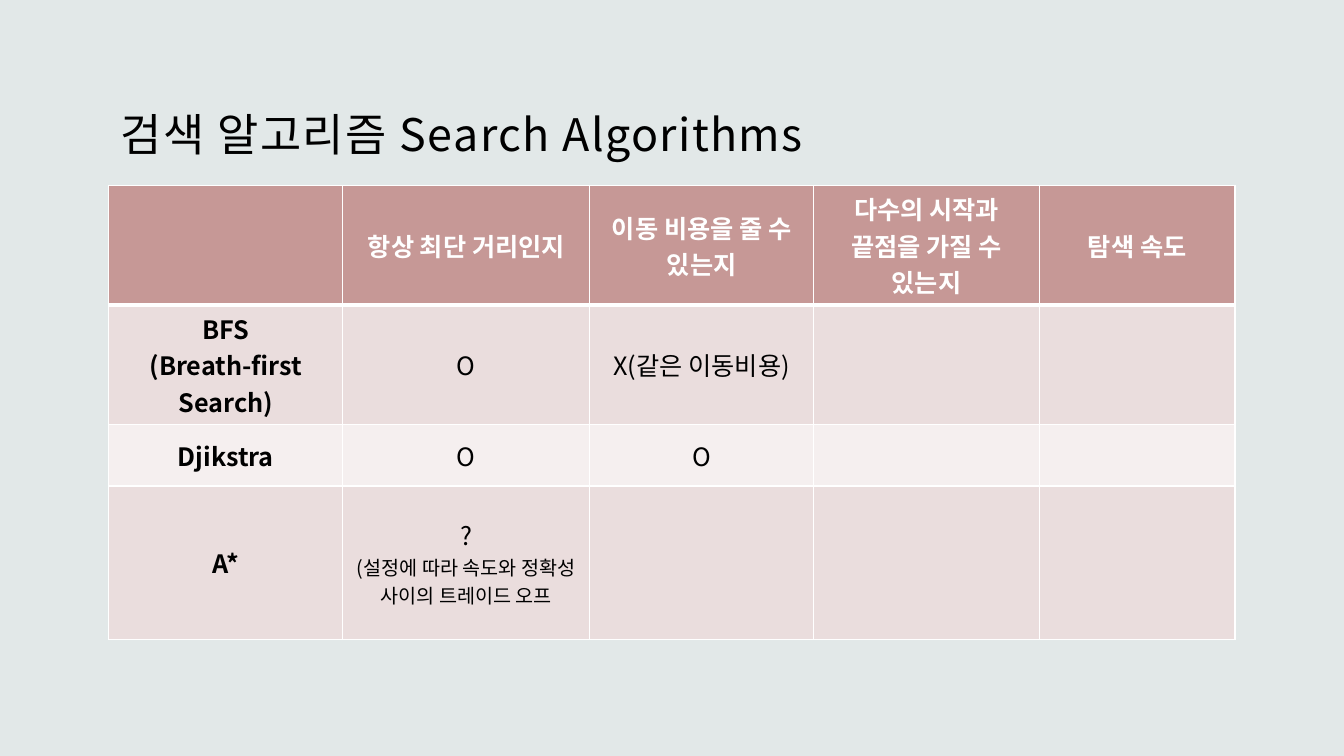
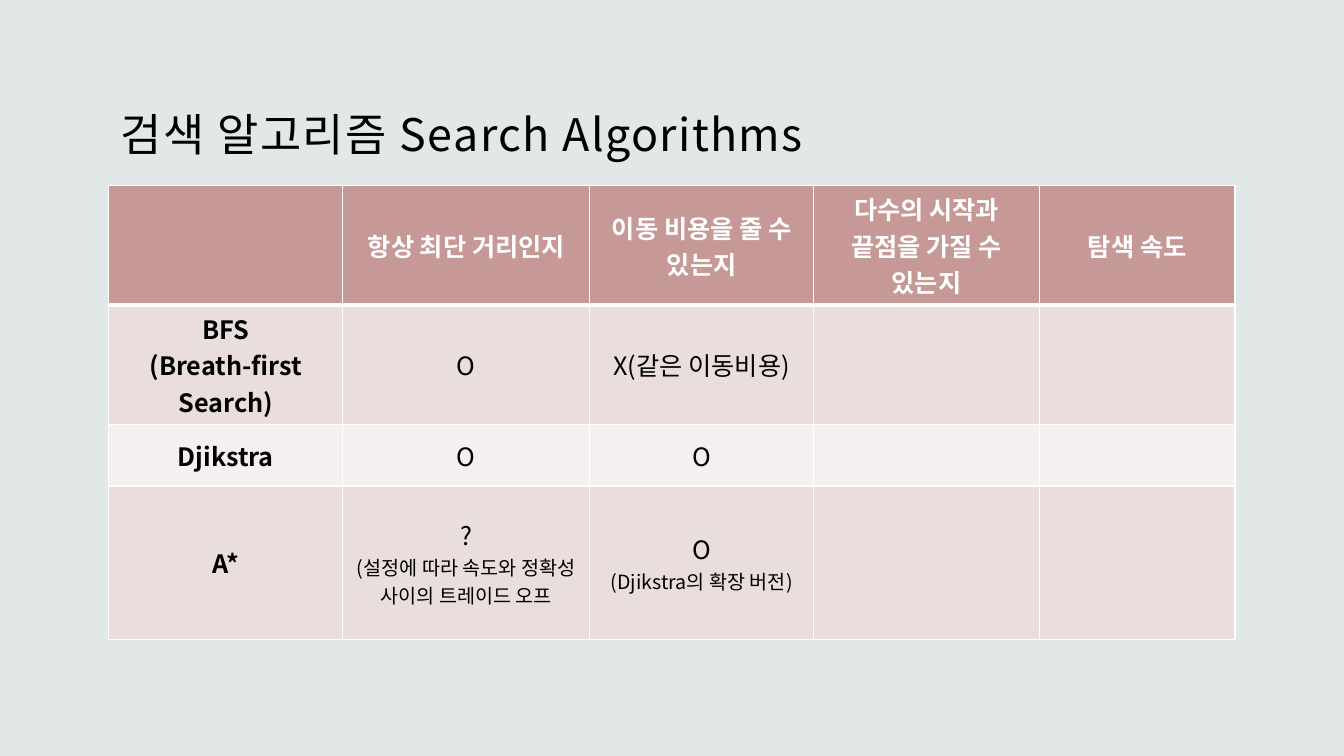
from typing import NamedTuple

from lxml.etree import SubElement
from pptx import Presentation
from pptx.dml.color import RGBColor
from pptx.dml.fill import FillFormat
from pptx.enum.text import MSO_ANCHOR, MSO_AUTO_SIZE, PP_ALIGN
from pptx.oxml import parse_xml
from pptx.oxml.ns import nsdecls, qn
from pptx.slide import Slide
from pptx.table import _Cell
from pptx.text.text import _Paragraph
from pptx.util import Inches, Pt

FONT = "Noto Sans CJK KR"
BACK, HEAD, BAND, PALE = "E2E8E8", "C69896", "EADDDD", "F5EFEF"
WHITE, BLACK = "FFFFFF", "000000"
LEFT, WIDTH = 1.08, 11.17
COLS = (2.32, 2.45, 2.22, 2.24, 1.94)
ROWS = (0.76, 1.07, 0.61, 1.52)
TITLE = "검색 알고리즘 Search Algorithms"


class Line(NamedTuple):
    """One paragraph of a table cell."""

    text: str
    size: int = 18


Grid = dict[tuple[int, int], list[Line]]

FIRST: Grid = {
    (0, 1): [Line("항상 최단 거리인지")],
    (0, 2): [Line("이동 비용을 줄 수 있는지")],
    (0, 3): [Line("다수의 시작과 끝점을 가질 수 있는지")],
    (0, 4): [Line("탐색 속도")],
    (1, 0): [Line("BFS"), Line("(Breath-first Search)")],
    (1, 1): [Line("O")],
    (1, 2): [Line("X(같은 이동비용)")],
    (2, 0): [Line("Djikstra")],
    (2, 1): [Line("O")],
    (2, 2): [Line("O")],
    (3, 0): [Line("A*")],
    (3, 1): [Line("?"), Line("(설정에 따라 속도와 정확성 사이의 트레이드 오프", 14)],
}
SECOND: Grid = FIRST | {(3, 2): [Line("O"), Line("(Djikstra의 확장 버전)", 14)]}


def paint(fill: FillFormat, color: str) -> None:
    """Fill with one solid colour."""
    fill.solid()
    fill.fore_color.rgb = RGBColor.from_string(color)


def write(para: _Paragraph, text: str, size: int, color: str,
          bold: bool = False, space: int = 0) -> None:
    """Add one run, with letter spacing in points."""
    run = para.add_run()
    run.text = text
    font = run.font
    font.name, font.size, font.bold = FONT, Pt(size), bold
    paint(font.fill, color)
    props = run._r.get_or_add_rPr()
    SubElement(props, qn("a:ea"), typeface=FONT)
    if space:
        props.set("spc", str(space * 100))


def edge(cell: _Cell, row: int) -> None:
    """Draw the white cell borders, heavier below the header."""
    sides = {"L": 1, "R": 1, "T": 1, "B": 1}
    if row == 0:
        sides["B"] = 3
    else:
        del sides["T"]
    props = cell._tc.get_or_add_tcPr()
    for spot, (side, width) in enumerate(sides.items()):
        props.insert(spot, parse_xml(
            f'<a:ln{side} {nsdecls("a")} w="{Pt(width)}"><a:solidFill>'
            f'<a:srgbClr val="{WHITE}"/></a:solidFill></a:ln{side}>'))


def add_title(slide: Slide) -> None:
    """Place and format the title."""
    title = slide.shapes.title
    title.left, title.top = Inches(LEFT), Inches(0.43)
    title.width, title.height = Inches(WIDTH), Inches(1.22)
    frame = title.text_frame
    frame.auto_size, frame.word_wrap = MSO_AUTO_SIZE.NONE, True
    frame.vertical_anchor = MSO_ANCHOR.BOTTOM
    frame.margin_left = frame.margin_right = frame.margin_top = Inches(0.12)
    frame.margin_bottom = Inches(0.06)
    para = frame.paragraphs[0]
    para.alignment = PP_ALIGN.LEFT
    write(para, TITLE, 32, BLACK, space=1)


def add_grid(slide: Slide, grid: Grid) -> None:
    """Draw the comparison table."""
    table = slide.shapes.add_table(
        len(ROWS), len(COLS), Inches(LEFT), Inches(1.84),
        Inches(WIDTH), Inches(sum(ROWS))).table
    table.horz_banding = False
    for col, width in zip(table.columns, COLS):
        col.width = Inches(width)
    for row, height in enumerate(ROWS):
        table.rows[row].height = Inches(height)
        fill = HEAD if row == 0 else BAND if row % 2 else PALE
        for col in range(len(COLS)):
            cell = table.cell(row, col)
            paint(cell.fill, fill)
            edge(cell, row)
            cell.vertical_anchor = MSO_ANCHOR.MIDDLE
            frame = cell.text_frame
            for spot, line in enumerate(grid.get((row, col), [])):
                para = frame.add_paragraph() if spot else frame.paragraphs[0]
                para.alignment = PP_ALIGN.CENTER
                write(para, line.text, line.size, BLACK if row else WHITE,
                      bold=row == 0 or col == 0)


def main() -> None:
    """Build and save the deck."""
    deck = Presentation()
    deck.slide_width, deck.slide_height = Inches(13.33), Inches(7.5)
    paint(deck.slide_master.background.fill, BACK)
    for grid in (FIRST, SECOND):
        slide = deck.slides.add_slide(deck.slide_layouts[5])
        add_title(slide)
        add_grid(slide, grid)
    deck.save("out.pptx")


if __name__ == "__main__":
    main()
